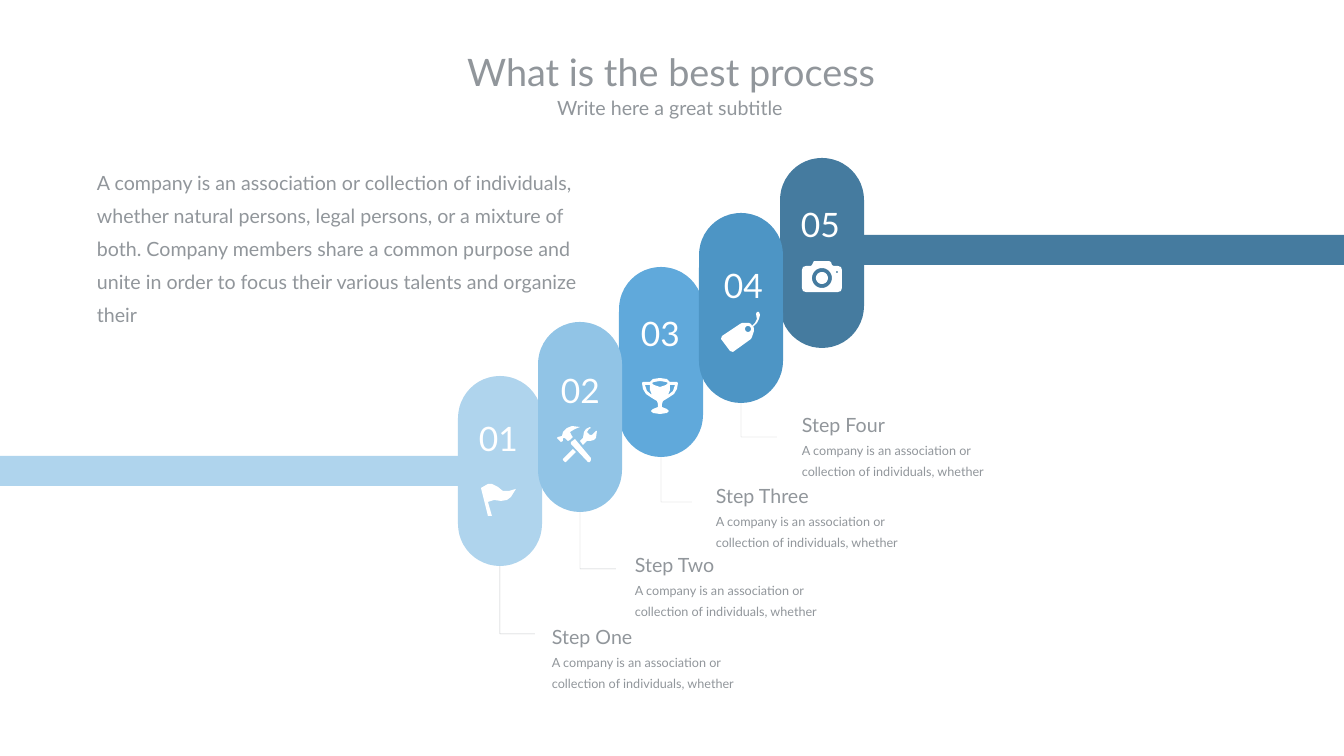
from dataclasses import dataclass
from math import cos, pi, sin

from lxml.etree import SubElement
from pptx import Presentation
from pptx.dml.color import RGBColor
from pptx.enum.shapes import MSO_CONNECTOR as Connector, MSO_SHAPE as Preset
from pptx.enum.text import MSO_ANCHOR as Anchor, MSO_AUTO_SIZE as AutoSize, PP_ALIGN as Align
from pptx.oxml.ns import qn
from pptx.shapes.base import BaseShape
from pptx.slide import Slide
from pptx.util import Emu, Pt

SCALE = 914400 / 100.8
FONT = "Lato"
PILL_WIDTH, PILL_HEIGHT = 84, 190
COLORS = {
    "text": "91969B",
    "white": "FFFFFF",
    "01": "AFD4ED",
    "02": "91C4E6",
    "03": "60A9DB",
    "04": "4D95C5",
    "05": "457B9F",
}

Point = tuple[float, float]
Contour = list[Point]


@dataclass(frozen=True)
class Box:
    left: int
    top: int
    width: int
    height: int


@dataclass(frozen=True)
class Line:
    text: str
    size: int


@dataclass(frozen=True)
class Caption:
    title: str
    box: Box
    elbow_end: tuple[int, int]


@dataclass(frozen=True)
class Step:
    number: str
    number_at: tuple[int, int]
    icon: list[Contour]
    caption: Caption | None = None


def px(value: float) -> Emu:
    return Emu(round(value * SCALE))


def color(name: str) -> RGBColor:
    return RGBColor.from_string(COLORS[name])


def circle(x: int, y: int, radius: int, sides: int = 32) -> Contour:
    angles = [2 * pi * side / sides for side in range(sides)]
    return [(x + radius * cos(angle), y + radius * sin(angle)) for angle in angles]


def mirror(contour: Contour, axis: int) -> Contour:
    return [(2 * axis - x, y) for x, y in contour]


FLAG = [[(516, 489), (509, 491), (503, 491), (498, 487), (492, 484), (488, 484), (481, 488),
         (488, 516), (492, 516), (488, 502), (494, 500), (501, 501), (507, 500), (511, 497)]]
TOOLS = [
    [(563, 438), (565, 438), (568, 441), (570, 440), (573, 437), (572, 436), (570, 432),
     (575, 429), (580, 427), (572, 426), (567, 428), (563, 432), (562, 436), (558, 437),
     (557, 438), (561, 442), (563, 441)],
    [(575, 439), (571, 442), (571, 444), (588, 462), (590, 462), (591, 460), (591, 458)],
    [(597, 431), (596, 431), (594, 433), (592, 435), (590, 435), (587, 432), (589, 429),
     (591, 428), (590, 427), (586, 429), (584, 432), (583, 438), (580, 441), (583, 445),
     (587, 441), (590, 441), (594, 440), (596, 438)],
    [(563, 459), (563, 460), (565, 462), (566, 462), (576, 452), (573, 449)],
]
CUP_HANDLE = [(668, 395), (670, 390), (670, 385), (675, 385), (673, 391)]
CUP_SIDE = [(660, 378), (667, 379), (670, 382), (677, 382), (678, 383), (677, 389), (674, 394),
            (668, 398), (663, 401), (662, 404), (662, 407), (667, 409), (669, 411), (667, 413),
            (660, 414)]
TROPHY = [
    CUP_SIDE + mirror(CUP_SIDE, 660)[::-1],
    CUP_HANDLE,
    mirror(CUP_HANDLE, 660),
    [(660, 381), (666, 382), (668, 383), (666, 385), (660, 387), (654, 385), (652, 383),
     (654, 382)],
]
TAG = [
    [(759, 312), (757, 312), (756, 314), (757, 319), (755, 323), (752, 326), (751, 324),
     (749, 323), (742, 323), (740, 324), (722, 336), (721, 339), (730, 351), (733, 352),
     (751, 339), (752, 337), (754, 331), (754, 328), (753, 327), (757, 323), (759, 319),
     (760, 315)],
    circle(748, 329, 3),
]
CAMERA = [
    [(812, 265), (814, 261), (816, 261), (829, 261), (831, 262), (832, 265), (834, 266),
     (838, 266), (841, 267), (842, 270), (842, 288), (841, 291), (838, 292), (806, 292),
     (803, 291), (802, 288), (802, 270), (803, 267), (806, 266), (811, 266)],
    circle(822, 278, 10),
    circle(822, 278, 6),
    circle(837, 272, 1),
]

STEPS = [
    Step("01", (460, 397), FLAG, Caption("Step One", Box(542, 611, 265, 86), (535, 634))),
    Step("02", (542, 349), TOOLS, Caption("Step Two", Box(625, 539, 327, 86), (616, 569))),
    Step("03", (622, 292), TROPHY, Caption("Step Three", Box(706, 470, 265, 86), (692, 502))),
    Step("04", (705, 244), TAG, Caption("Step Four", Box(792, 399, 241, 86), (777, 437))),
    Step("05", (782, 183), CAMERA),
]
PILLS = {
    step.number: Box(458 + 161 * index // 2, 376 - 109 * index // 2 + index % 2 * 0,
                     PILL_WIDTH, PILL_HEIGHT)
    for index, step in enumerate(STEPS)
}
PILL_ORDER = ["01", "03", "05", "04", "02"]
BARS = {"01": Box(0, 456, 459, 30), "05": Box(862, 235, 482, 30)}
HEADINGS = [
    (Box(411, 41, 520, 60), Line("What is the best process", 27)),
    (Box(410, 89, 520, 37), Line("Write here a great subtitle", 14)),
]
INTRO = Line(
    "A company is an association or collection of individuals, whether natural persons, "
    "legal persons, or a mixture of both. Company members share a common purpose and "
    "unite in order to focus their various talents and organize their", 14)
CAPTION_LINES = [
    Line("A company is an association or", 9),
    Line("collection of individuals, whether", 9),
]


def paint(shape: BaseShape, fill: str) -> None:
    shape.shadow.inherit = False
    shape.fill.solid()
    shape.fill.fore_color.rgb = color(fill)
    shape.line.fill.background()


def add_block(slide: Slide, preset: Preset, box: Box, fill: str) -> BaseShape:
    shape = slide.shapes.add_shape(
        preset, px(box.left), px(box.top), px(box.width), px(box.height))
    paint(shape, fill)
    return shape


def add_text(slide: Slide, box: Box, lines: list[Line], fill: str = "text",
             align: Align = Align.LEFT, spacing: float = 1.4, heading: bool = False) -> None:
    shape = slide.shapes.add_textbox(
        px(box.left), px(box.top), px(box.width), px(box.height))
    frame = shape.text_frame
    frame.word_wrap = True
    frame.auto_size = AutoSize.SHAPE_TO_FIT_TEXT
    if heading:
        frame.vertical_anchor = Anchor.MIDDLE
        frame.margin_left = frame.margin_right = px(13)
        frame.margin_top = frame.margin_bottom = px(7)
    for index, line in enumerate(lines):
        paragraph = frame.add_paragraph() if index else frame.paragraphs[0]
        paragraph.text = line.text
        paragraph.alignment = align
        paragraph.line_spacing = spacing
        paragraph.font.name = FONT
        paragraph.font.size = Pt(line.size)
        paragraph.font.color.rgb = color(fill)


def add_elbow(slide: Slide, pill: Box, end: tuple[int, int]) -> None:
    connector = slide.shapes.add_connector(
        Connector.ELBOW, px(end[0]), px(end[1]),
        px(pill.left + pill.width // 2), px(pill.top + pill.height))
    connector.line.width = Pt(0.25)
    connector.line.color.rgb = color("text")
    properties = connector._element.spPr
    properties.find(qn("a:prstGeom")).set("prst", "bentConnector2")
    SubElement(next(properties.iter(qn("a:srgbClr"))), qn("a:alpha"), val="50000")
    SubElement(properties, qn("a:effectLst"))


def add_icon(slide: Slide, contours: list[Contour]) -> None:
    scaled = [[(px(x), px(y)) for x, y in contour] for contour in contours]
    builder = slide.shapes.build_freeform(*scaled[0][0])
    for index, contour in enumerate(scaled):
        if index:
            builder.move_to(*contour[0])
        builder.add_line_segments(contour[1:], close=True)
    paint(builder.convert_to_shape(), "white")


def main() -> None:
    presentation = Presentation()
    presentation.slide_width, presentation.slide_height = px(1344), px(756)
    slide = presentation.slides.add_slide(presentation.slide_layouts[6])
    for box, line in HEADINGS:
        add_text(slide, box, [line], align=Align.CENTER, spacing=1.0, heading=True)
    for number, box in BARS.items():
        add_block(slide, Preset.RECTANGLE, box, number)
    for number in PILL_ORDER:
        pill = add_block(slide, Preset.ROUNDED_RECTANGLE, PILLS[number], number)
        pill.adjustments[0] = 0.5
    add_text(slide, Box(87, 157, 510, 210), [INTRO])
    for step in STEPS:
        add_text(slide, Box(*step.number_at, 77, 67), [Line(step.number, 24)],
                 "white", Align.CENTER)
        add_icon(slide, step.icon)
        if step.caption:
            add_elbow(slide, PILLS[step.number], step.caption.elbow_end)
            add_text(slide, step.caption.box, [Line(step.caption.title, 14), *CAPTION_LINES])
    presentation.save("out.pptx")


if __name__ == "__main__":
    main()
